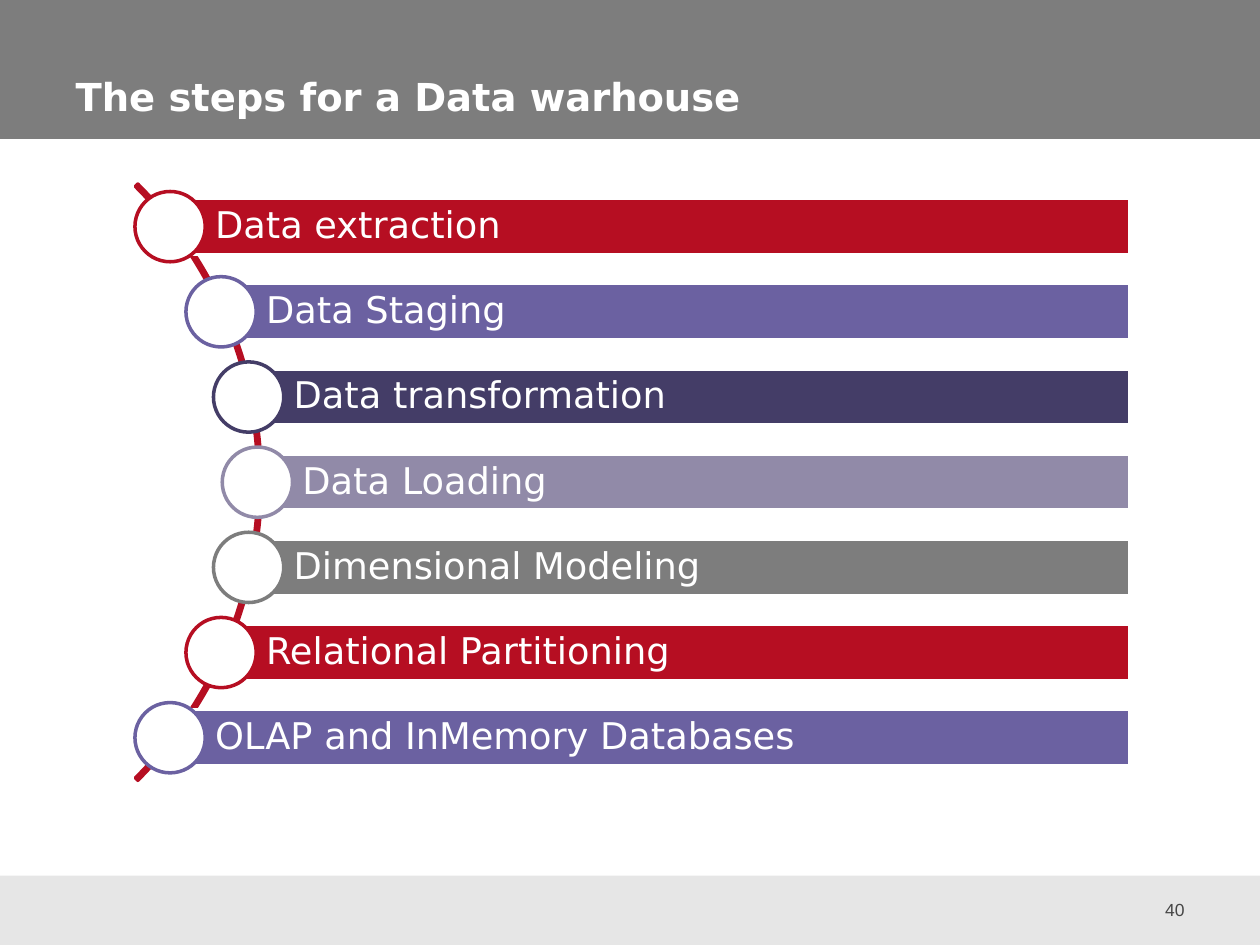
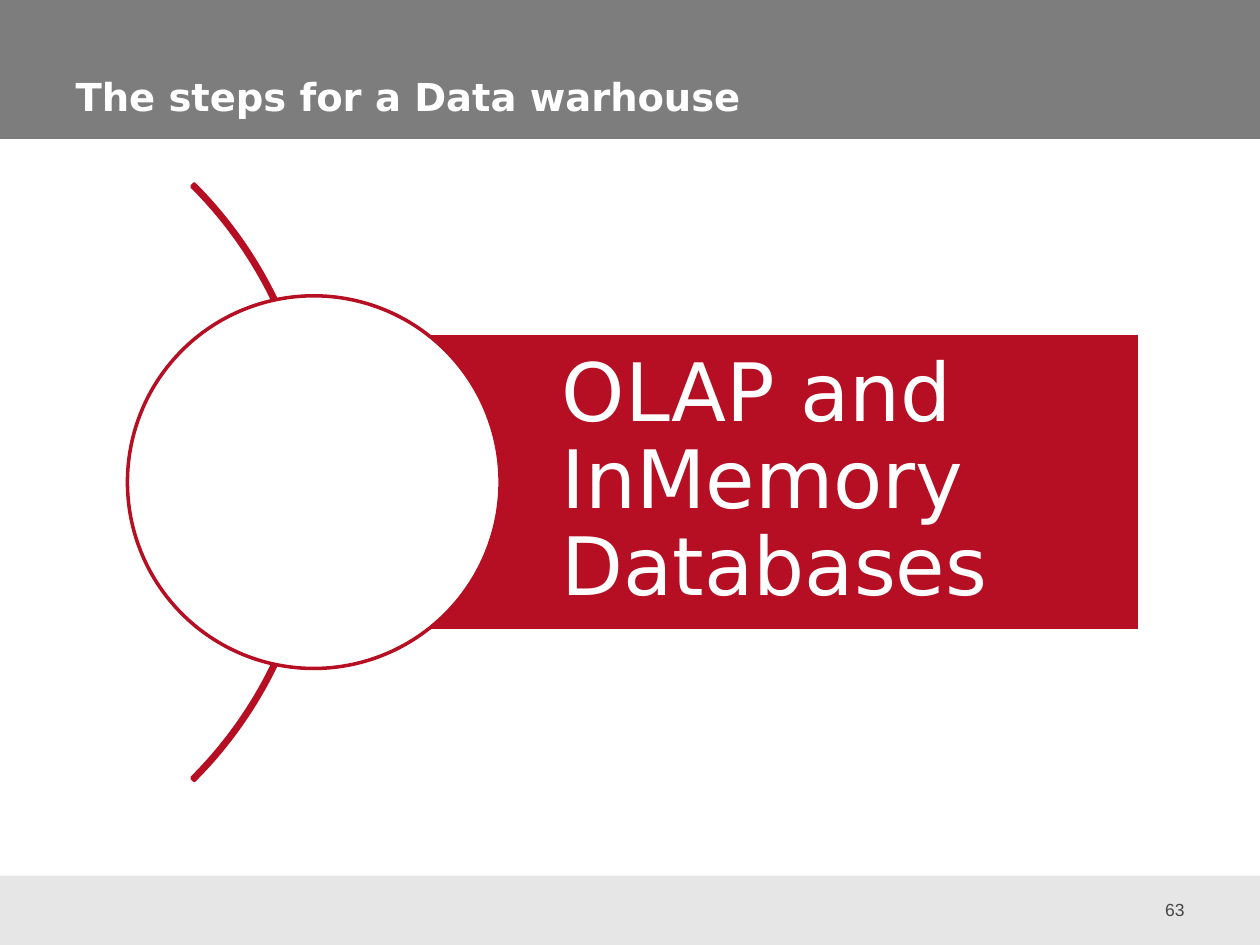
from dataclasses import dataclass
from math import sqrt

from pptx import Presentation
from pptx.dml.color import RGBColor
from pptx.enum.shapes import MSO_SHAPE as Preset
from pptx.enum.text import MSO_ANCHOR as Anchor, PP_ALIGN as Align
from pptx.util import Cm, Pt


@dataclass(frozen=True)
class Theme:
    red: str = "B60E22"
    violet: str = "6B61A1"
    indigo: str = "443D67"
    lavender: str = "918AA8"
    grey: str = "7D7D7D"
    pale: str = "E6E6E6"
    white: str = "FFFFFF"
    number_ink: str = "464646"
    heading_font: str = "DejaVu Sans"
    number_font: str = "Arial"
    title_size: int = 22
    number_size: int = 10
    line_width: int = 2


@dataclass(frozen=True)
class Box:
    """A region of the slide, in centimetres."""
    left: float
    top: float
    width: float
    height: float

    @property
    def emu(self):
        return Cm(self.left), Cm(self.top), Cm(self.width), Cm(self.height)


@dataclass(frozen=True)
class StepStyle:
    """How the bars of one diagram look; lengths in centimetres."""
    bar_share: float  # bar height as a share of the row pitch
    indent: float
    margin: float
    size: int


THEME = Theme()
STEP_COLORS = [THEME.red, THEME.violet, THEME.indigo, THEME.lavender, THEME.grey]
STEPS = ["Data extraction", "Data Staging", "Data transformation", "Data Loading",
         "Dimensional Modeling", "Relational Partitioning",
         "OLAP and InMemory Databases"]
TITLE = "The steps for a Data warhouse"

HEADER = Box(0, 0, 25.4, 2.8)
FOOTER = Box(0, 17.65, 25.4, 1.4)
TITLE_BOX = Box(1.27, 0.99, 22.56, 1.55)
NUMBER_BOX = Box(22.86, 17.83, 1.27, 1.02)

CIRCLE_TO_BAR = 1.25
TRACK_RADIUS = 8.42  # the circle centres lie on this curve


def add_figure(slide, preset, box, fill=None, line=None):
    figure = slide.shapes.add_shape(preset, *box.emu)
    figure.shadow.inherit = False
    if fill:
        figure.fill.solid()
        figure.fill.fore_color.rgb = RGBColor.from_string(fill)
    else:
        figure.fill.background()
    if line:
        figure.line.color.rgb = RGBColor.from_string(line)
        figure.line.width = Pt(THEME.line_width)
    else:
        figure.line.fill.background()
    return figure


def write(frame, text, font, size, color, anchor, align=Align.LEFT, bold=False):
    frame.text = text
    frame.word_wrap = True
    frame.vertical_anchor = anchor
    paragraph = frame.paragraphs[0]
    paragraph.alignment = align
    paragraph.font.name = font
    paragraph.font.size = Pt(size)
    paragraph.font.bold = bold
    paragraph.font.color.rgb = RGBColor.from_string(color)
    return paragraph


def move_bands_to_layout(slide):
    """Draw the header and footer bands once, for every slide of the layout."""
    tree = slide.slide_layout.shapes._spTree
    for box, color in ((HEADER, THEME.grey), (FOOTER, THEME.pale)):
        tree.insert(2, add_figure(slide, Preset.RECTANGLE, box, color)._element)


def add_title(slide, box):
    title = slide.shapes.title
    title.left, title.top, title.width, title.height = box.emu
    write(title.text_frame, TITLE, THEME.heading_font, THEME.title_size,
          THEME.white, Anchor.BOTTOM, bold=True)


def add_page_number(slide, box, number):
    frame = slide.shapes.add_textbox(*box.emu).text_frame
    write(frame, str(number), THEME.number_font, THEME.number_size,
          THEME.number_ink, Anchor.MIDDLE, Align.RIGHT)


def add_step(slide, box, text, color, style):
    """A labelled bar with a circle centred on its left edge."""
    bar = add_figure(slide, Preset.RECTANGLE, box, color, THEME.white)
    frame = bar.text_frame
    frame.margin_left = Cm(style.indent)
    frame.margin_right = frame.margin_top = frame.margin_bottom = Cm(style.margin)
    label = write(frame, text, THEME.heading_font, style.size, THEME.white,
                  Anchor.MIDDLE)
    label.line_spacing = 0.9

    diameter = box.height * CIRCLE_TO_BAR
    circle = Box(box.left - diameter / 2, box.top + (box.height - diameter) / 2,
                 diameter, diameter)
    add_figure(slide, Preset.OVAL, circle, THEME.white, color)


def add_step_diagram(slide, box, steps, style):
    """Steps in equal rows, their circles following an arc that spans the box."""
    pitch = box.height / len(steps)
    bar_height = pitch * style.bar_share
    middle = box.top + box.height / 2
    centers = [box.top + pitch * (row + 0.5) for row in range(len(steps))]
    reaches = [sqrt(TRACK_RADIUS ** 2 - (y - middle) ** 2) for y in centers]
    arc_x = box.left + bar_height * CIRCLE_TO_BAR / 2 - reaches[0]

    # Quarter arc behind the steps
    radius = box.height / sqrt(2)
    arc = add_figure(slide, Preset.BLOCK_ARC,
                     Box(arc_x - radius, middle - radius, 2 * radius, 2 * radius),
                     line=THEME.red)
    for index, value in enumerate((189, 27, 0.004)):
        arc.adjustments[index] = value

    # Bars all end at the right edge of the box
    for row, (text, y, reach) in enumerate(zip(steps, centers, reaches)):
        left = arc_x + reach
        bar = Box(left, y - bar_height / 2, box.left + box.width - left, bar_height)
        add_step(slide, bar, text, STEP_COLORS[row % len(STEP_COLORS)], style)


def add_steps_slide(deck, number, box, steps, style):
    slide = deck.slides.add_slide(deck.slide_layouts[5])
    add_title(slide, TITLE_BOX)
    add_page_number(slide, NUMBER_BOX, number)
    add_step_diagram(slide, box, steps, style)
    return slide


def main():
    deck = Presentation()
    deck.slide_width, deck.slide_height = Cm(25.4), Cm(19.05)

    overview = add_steps_slide(deck, 40, Box(2.72, 3.71, 20.05, 12.02), STEPS,
                               StepStyle(0.66, 0.91, 0.15, 21))
    move_bands_to_layout(overview)
    add_steps_slide(deck, 63, Box(2.57, 3.71, 20.4, 12.02), STEPS[-1:],
                    StepStyle(0.5, 5, 0.33, 46))

    deck.save("out.pptx")


if __name__ == "__main__":
    main()
